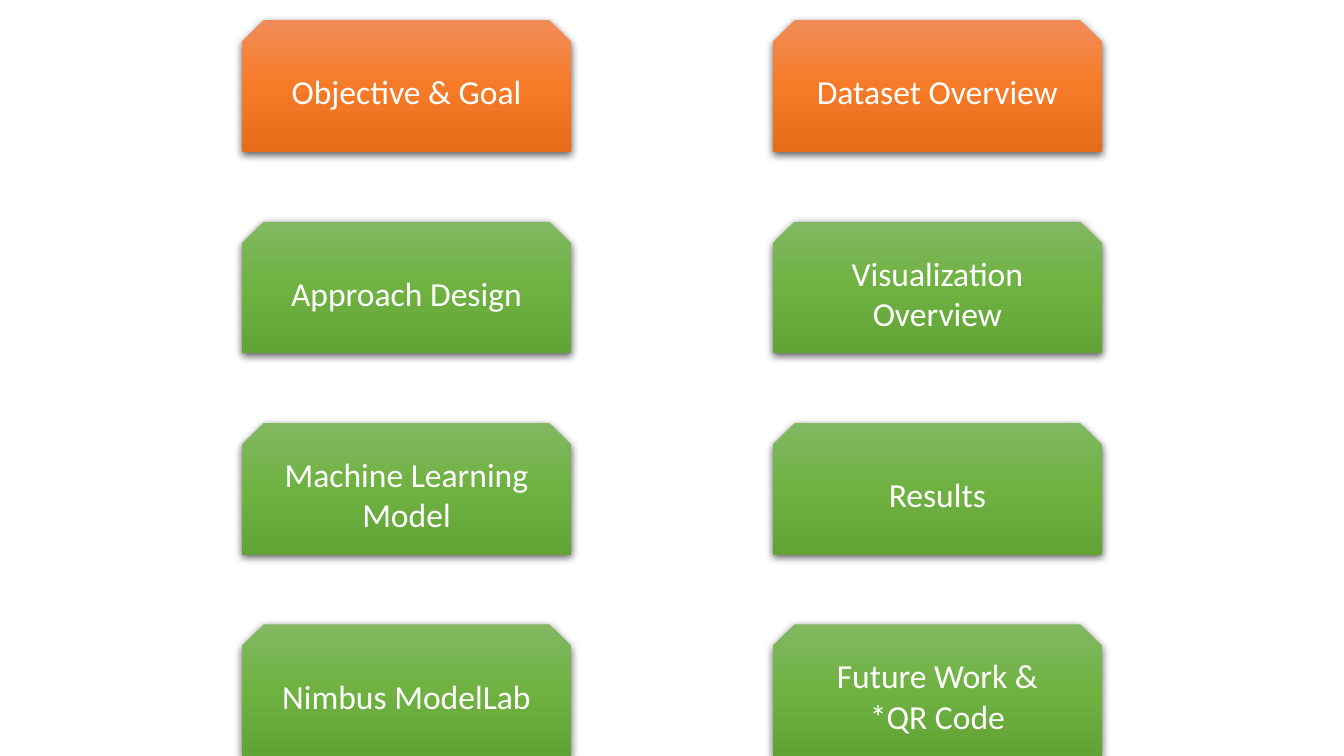
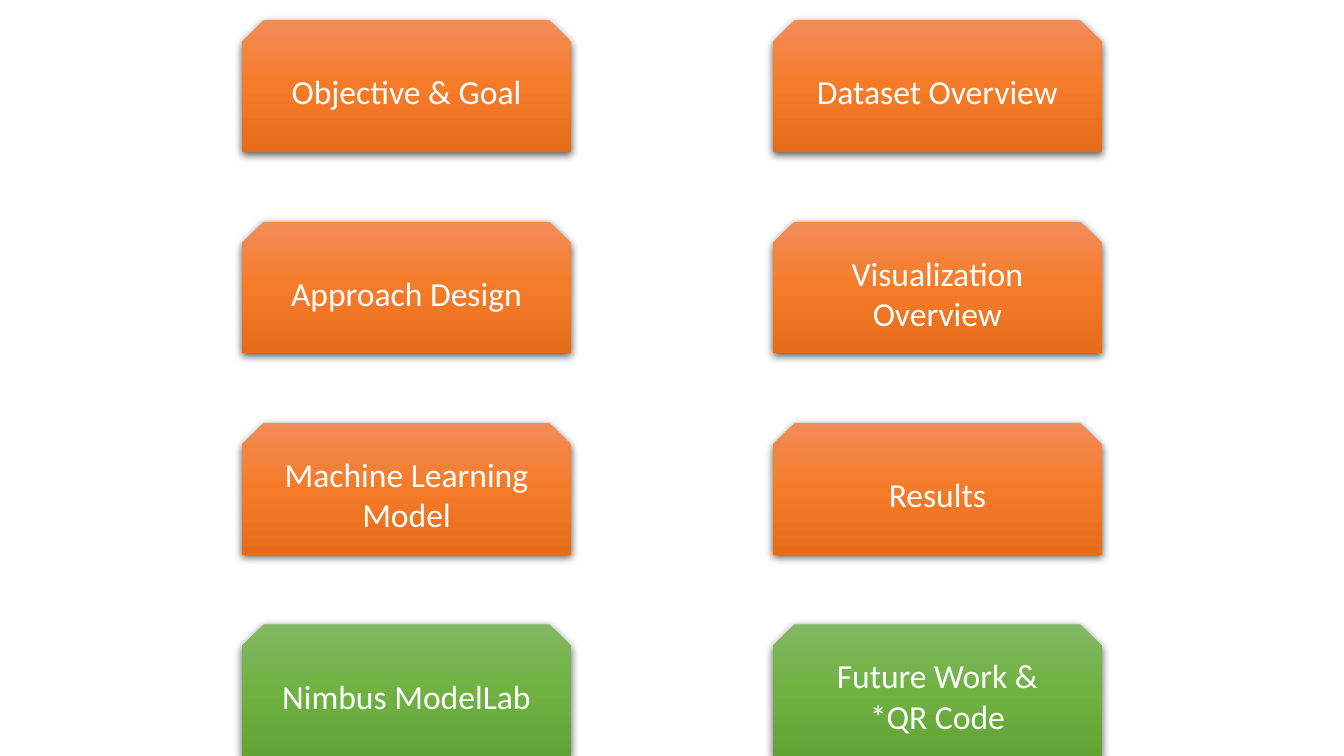
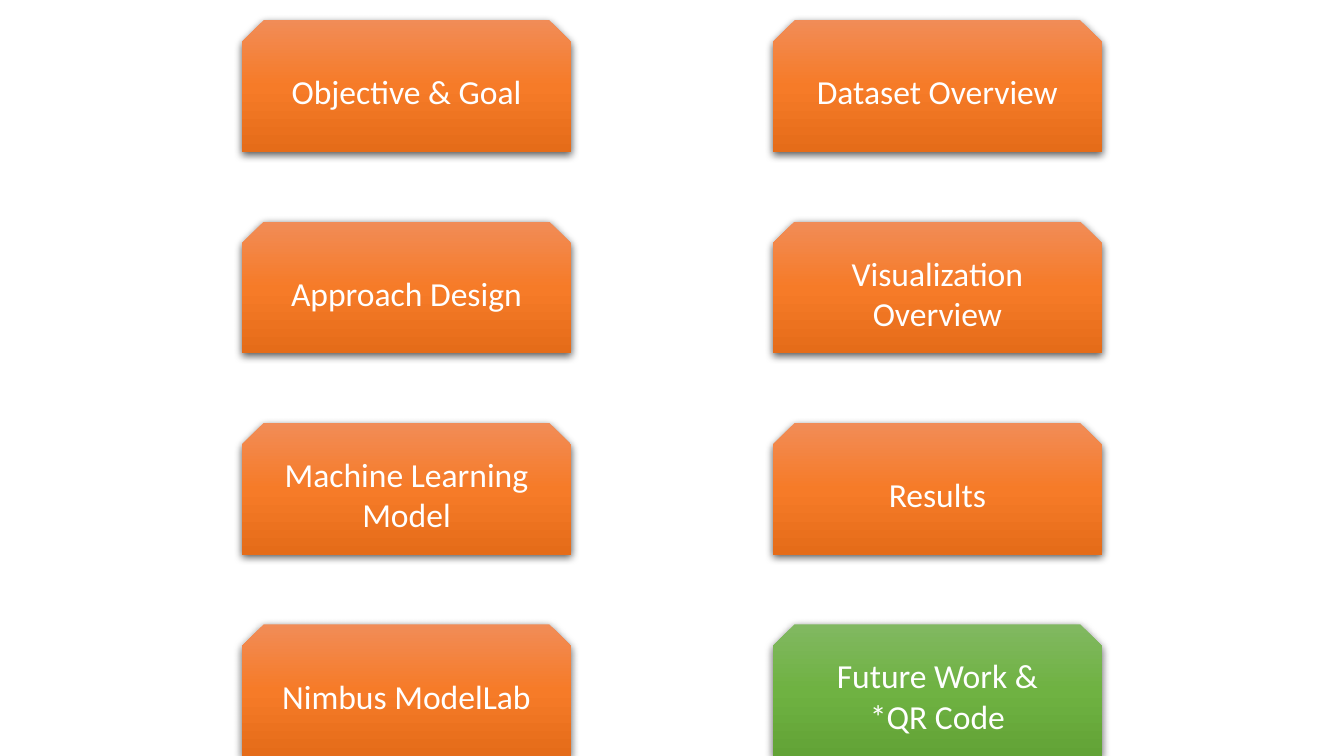
from copy import deepcopy

from lxml.etree import SubElement
from pptx import Presentation
from pptx.dml.color import RGBColor
from pptx.enum.shapes import MSO_SHAPE as Shape
from pptx.enum.text import MSO_ANCHOR as Anchor, PP_ALIGN as Align
from pptx.oxml.ns import qn
from pptx.util import Inches, Pt

TOPICS = [
    "Objective & Goal", "Dataset Overview",
    "Approach Design", "Visualization Overview",
    "Machine Learning Model", "Results",
    "Nimbus ModelLab", "Future Work &\n*QR Code",
]
COVERED_COUNTS = [2, 6, 7]
COVERED = ["F18C57", "F67B28", "E56C19"]
UPCOMING = ["81B861", "6FB242", "62A336"]
COLUMNS, ROWS = 2, 4


def color(hex_string):
    return RGBColor.from_string(hex_string)


def style_box(shape, gradient):
    shape.line.fill.background()
    shape.fill.gradient()
    shape.fill.gradient_angle = 270
    first_stop = next(shape.element.iter(qn("a:gs")))
    first_stop.addnext(deepcopy(first_stop))
    for index, (stop, shade) in enumerate(zip(shape.fill.gradient_stops, gradient)):
        stop.position = index / 2
        stop.color.rgb = color(shade)

    shape.shadow.inherit = False
    effects = shape.element.spPr.find(qn("a:effectLst"))
    shadow = SubElement(effects, qn("a:outerShdw"), blurRad=str(Pt(4.5)), dist=str(Pt(1.5)),
                        dir="5400000", algn="ctr", rotWithShape="0")
    black = SubElement(shadow, qn("a:srgbClr"), val="000000")
    SubElement(black, qn("a:alpha"), val="63000")


presentation = Presentation()
presentation.slide_width = Inches(10)
presentation.slide_height = Inches(5.625)

box_width, box_height = Inches(2.45), Inches(0.98)
side_margin, top_margin = Inches(1.8), Inches(0.15)
column_step = (presentation.slide_width - 2 * side_margin - box_width) // (COLUMNS - 1)
row_step = (presentation.slide_height - top_margin - box_height) // (ROWS - 1)
font_format = {"name": "Calibri", "size": Pt(18)}
frame_format = {"word_wrap": True, "vertical_anchor": Anchor.MIDDLE}

for covered_count in COVERED_COUNTS:
    slide = presentation.slides.add_slide(presentation.slide_layouts[6])
    for index, topic in enumerate(TOPICS):
        row, column = divmod(index, COLUMNS)
        shape = slide.shapes.add_shape(
            Shape.SNIP_2_SAME_RECTANGLE,
            side_margin + column * column_step, top_margin + row * row_step,
            box_width, box_height)
        style_box(shape, COVERED if index < covered_count else UPCOMING)

        for name, value in frame_format.items():
            setattr(shape.text_frame, name, value)
        paragraph = shape.text_frame.paragraphs[0]
        paragraph.text = topic
        paragraph.alignment = Align.CENTER
        for run in paragraph.runs:
            run.font.color.rgb = color("FFFFFF")
            for name, value in font_format.items():
                setattr(run.font, name, value)

presentation.save("out.pptx")
